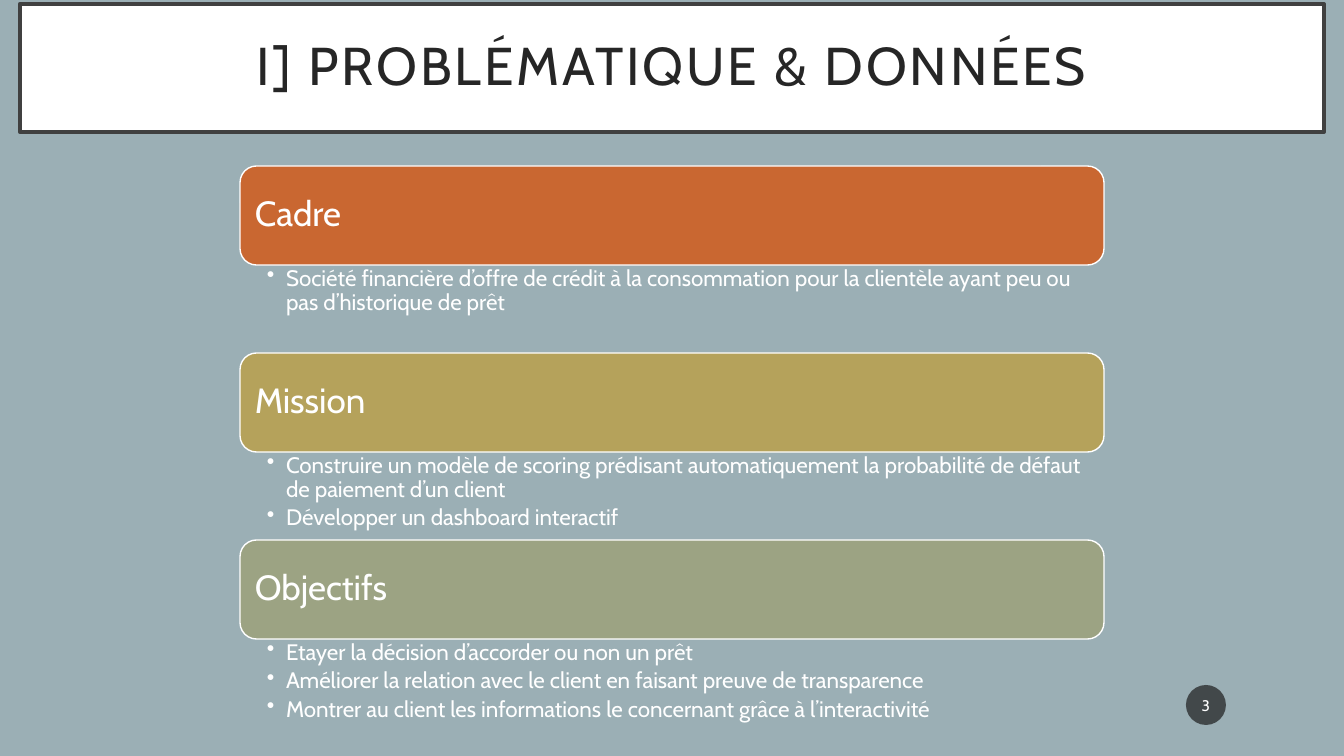
from lxml.etree import SubElement
from pptx import Presentation
from pptx.dml.color import RGBColor
from pptx.enum.shapes import MSO_SHAPE
from pptx.enum.text import MSO_ANCHOR, MSO_AUTO_SIZE, PP_ALIGN
from pptx.oxml.ns import qn
from pptx.util import Pt

PX = 12192000 / 1344
FONT = "Cabin"
BACKGROUND = RGBColor(0x9B, 0xAF, 0xB5)
WHITE = RGBColor(0xFF, 0xFF, 0xFF)
FRAME = RGBColor(0x40, 0x40, 0x40)
TITLE_INK = RGBColor(0x26, 0x26, 0x26)
BADGE = RGBColor(0x1D, 0x1D, 0x1D)
ORANGE = RGBColor(0xC9, 0x67, 0x31)
GOLD = RGBColor(0xB5, 0xA2, 0x5B)
SAGE = RGBColor(0x9C, 0xA3, 0x83)

SECTIONS = [
    ("Cadre", ORANGE, [
        "Société financière d’offre de crédit à la consommation pour la clientèle ayant peu ou pas d’historique de prêt",
    ]),
    ("Mission", GOLD, [
        "Construire un modèle de scoring prédisant automatiquement la probabilité de défaut de paiement d’un client",
        "Développer un dashboard interactif",
    ]),
    ("Objectifs", SAGE, [
        "Etayer la décision d’accorder ou non un prêt",
        "Améliorer la relation avec le client en faisant preuve de transparence",
        "Montrer au client les informations le concernant grâce à l’interactivité",
    ]),
]


def px(length):
    return round(length * PX)


def apply(target, values):
    for key, value in values.items():
        setattr(target, key, value)


def paint(shape, fill, line=None, width=1):
    shape.fill.solid()
    shape.fill.fore_color.rgb = fill
    if line is None:
        shape.line.fill.background()
    else:
        shape.line.color.rgb = line
        shape.line.width = Pt(width)


def write(shape, lines, size, color, insets, anchor=MSO_ANCHOR.MIDDLE, **paragraph_format):
    frame = shape.text_frame
    left, top, right, bottom = map(px, insets)
    apply(frame, {
        "text": "\n".join(lines), "word_wrap": True, "auto_size": MSO_AUTO_SIZE.NONE,
        "vertical_anchor": anchor, "margin_left": left, "margin_top": top,
        "margin_right": right, "margin_bottom": bottom,
    })
    for paragraph in frame.paragraphs:
        apply(paragraph, paragraph_format)
        for run in paragraph.runs:
            apply(run.font, {"name": FONT, "size": Pt(size)})
            run.font.color.rgb = color
    return frame.paragraphs


def add_box(slide, preset, box, fill, line=None):
    shape = slide.shapes.add_shape(preset, *map(px, box))
    shape.shadow.inherit = False
    paint(shape, fill, line)
    return shape


def add_title(slide, box, text):
    title = slide.shapes.title
    apply(title, dict(zip(("left", "top", "width", "height"), map(px, box))))
    paint(title, WHITE, FRAME, 3)
    paragraphs = write(title, [text], 38, TITLE_INK, (30, 20, 30, 20),
                       alignment=PP_ALIGN.CENTER, line_spacing=0.9)
    paragraphs[0].runs[0].font._element.set("spc", "200")


def add_bullet(paragraph):
    properties = paragraph._p.get_or_add_pPr()
    properties.set("marL", str(px(19)))
    properties.set("indent", str(-px(19)))
    SubElement(properties, qn("a:buChar")).set("char", "•")


def add_section(slide, box, heading, color, points):
    left, top, width, height = box
    header_height = 99
    header = add_box(slide, MSO_SHAPE.ROUNDED_RECTANGLE,
                     (left, top, width, header_height), color, WHITE)
    write(header, [heading], 25, WHITE, (10, 10, 10, 10),
          alignment=PP_ALIGN.LEFT, line_spacing=0.9)
    details = slide.shapes.add_textbox(
        *map(px, (left, top + header_height, width, height - header_height)))
    for paragraph in write(details, points, 16, WHITE, (27, 2, 12, 2), MSO_ANCHOR.TOP,
                           line_spacing=0.9, space_after=Pt(3)):
        add_bullet(paragraph)


def add_page_number(slide, box, number):
    badge = add_box(slide, MSO_SHAPE.OVAL, box, BADGE)
    tint = badge.fill._xPr.find(qn("a:solidFill"))[0]
    SubElement(tint, qn("a:alpha")).set("val", "70000")
    write(badge, [number], 11, WHITE, (2, 5, 2, 5), alignment=PP_ALIGN.CENTER)


def main():
    deck = Presentation()
    apply(deck, {"slide_width": px(1344), "slide_height": px(756)})
    slide = deck.slides.add_slide(deck.slide_layouts.get_by_name("Title Only"))
    slide.background.fill.solid()
    slide.background.fill.fore_color.rgb = BACKGROUND
    add_title(slide, (20, 4, 1304, 128), "I] PROBLÉMATIQUE & DONNÉES")
    section_height = 187
    for index, section in enumerate(SECTIONS):
        add_section(slide, (240, 166 + index * section_height, 864, section_height), *section)
    add_page_number(slide, (1186, 685, 40, 40), "3")
    deck.save("out.pptx")


if __name__ == "__main__":
    main()
